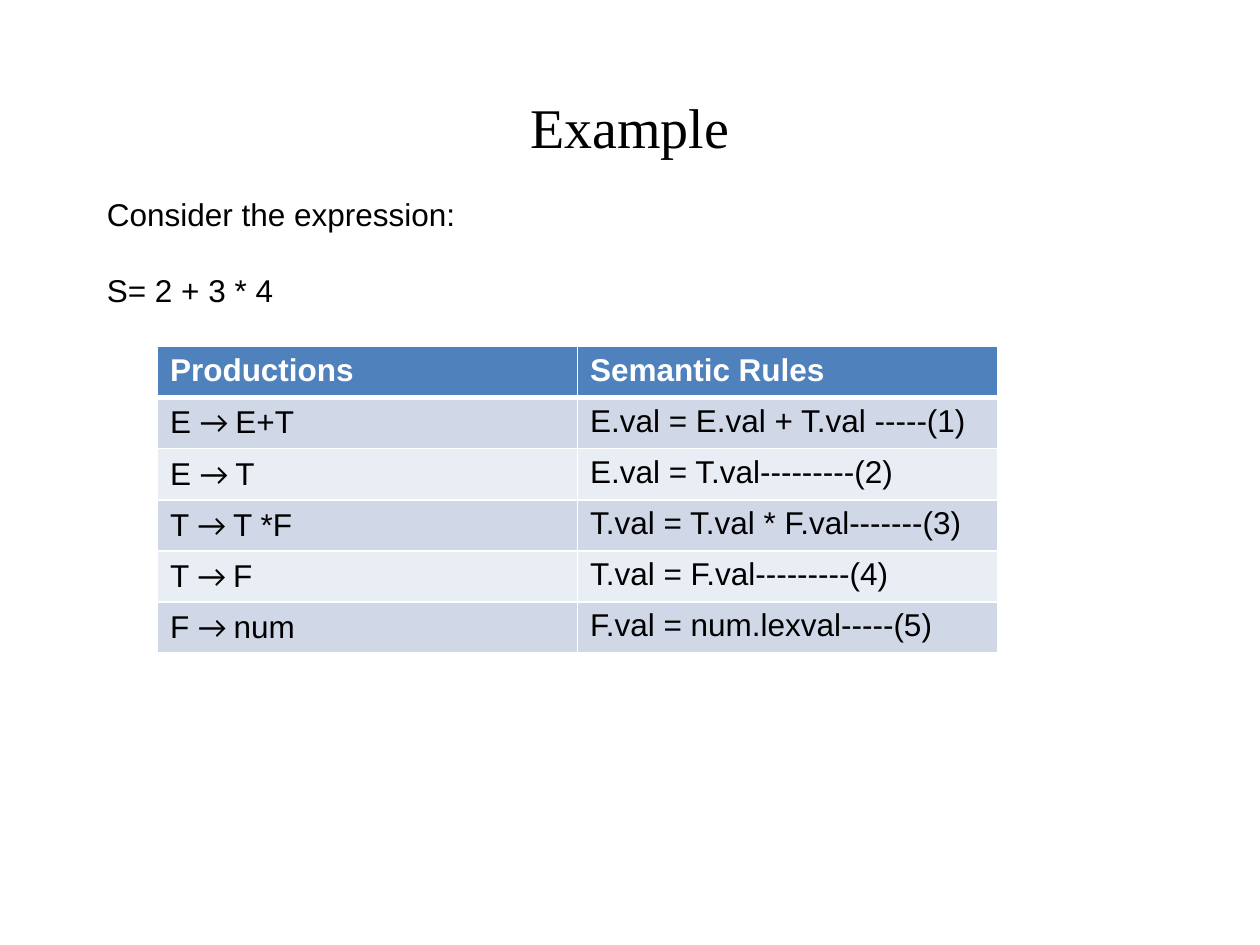
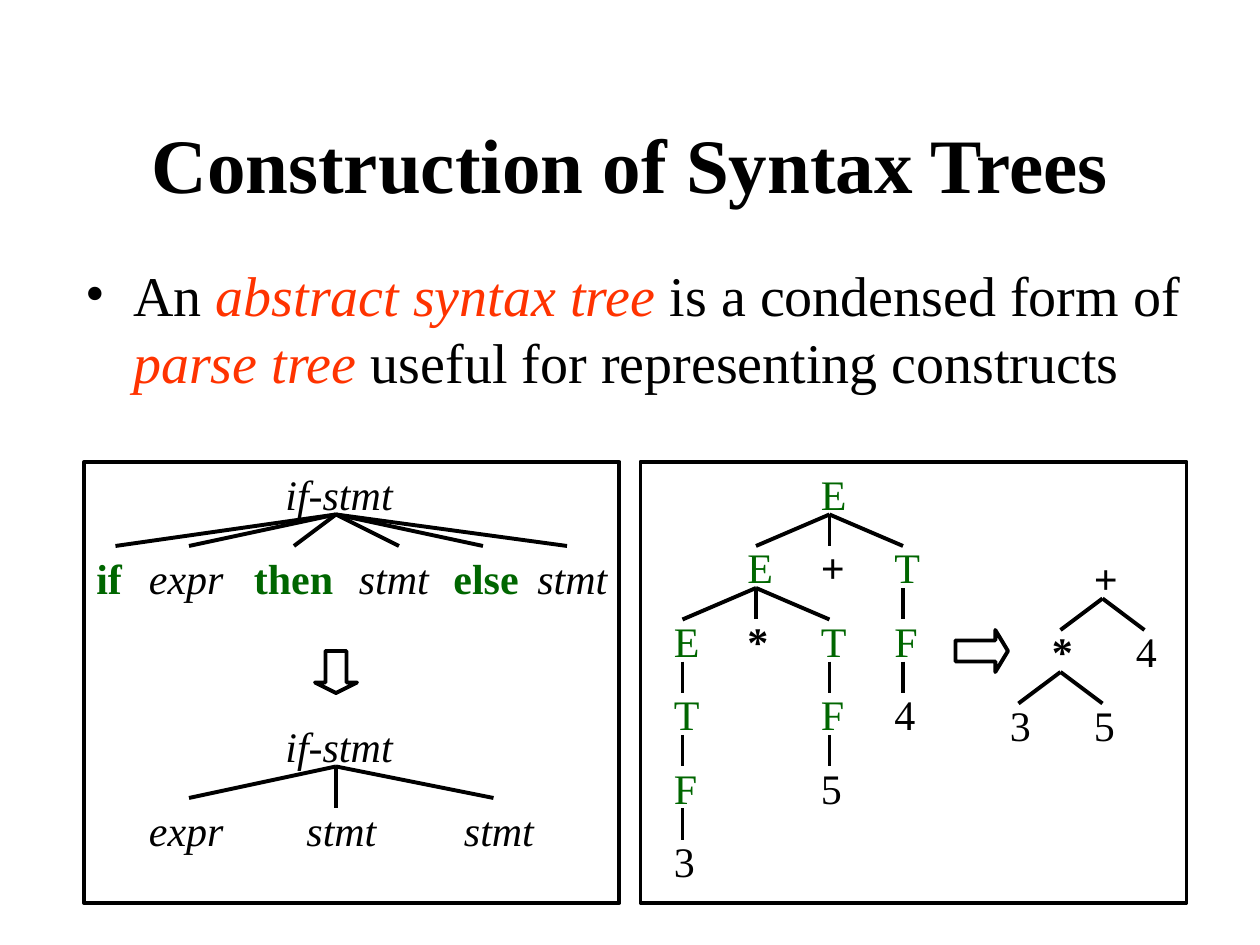
from dataclasses import dataclass

from lxml import etree
from pptx import Presentation
from pptx.dml.color import RGBColor
from pptx.enum.shapes import MSO_CONNECTOR, MSO_SHAPE
from pptx.enum.text import MSO_ANCHOR, MSO_AUTO_SIZE, PP_ALIGN
from pptx.oxml.ns import qn
from pptx.slide import Slide
from pptx.table import _Cell
from pptx.text.text import TextFrame, _Paragraph
from pptx.util import Emu, Pt

PX = 7620
BLACK = RGBColor(0x00, 0x00, 0x00)
WHITE = RGBColor(0xFF, 0xFF, 0xFF)
GREEN = RGBColor(0x00, 0x66, 0x00)
RED = RGBColor(0xFF, 0x33, 0x00)
BLUE = RGBColor(0x4F, 0x81, 0xBD)
BANDS = (RGBColor(0xD0, 0xD8, 0xE8), RGBColor(0xE9, 0xED, 0xF4))
SERIF, SANS, SYMBOL = "Times New Roman", "Arial", "Calibri"
CENTER, MIDDLE, TOP = PP_ALIGN.CENTER, MSO_ANCHOR.MIDDLE, MSO_ANCHOR.TOP
FIXED, GROW = MSO_AUTO_SIZE.NONE, MSO_AUTO_SIZE.SHAPE_TO_FIT_TEXT
LINE = MSO_CONNECTOR.STRAIGHT
RECT, DOWN, RIGHT = MSO_SHAPE.RECTANGLE, MSO_SHAPE.DOWN_ARROW, MSO_SHAPE.RIGHT_ARROW
STROKE = Pt(2.25)
TITLE_ONLY = 5


@dataclass(frozen=True)
class Style:
    font: str
    size: int
    color: RGBColor = BLACK
    bold: bool = False
    italic: bool = False


@dataclass(frozen=True)
class Box:
    x: int
    y: int
    w: int
    h: int


@dataclass(frozen=True)
class Node:
    text: str
    x: int
    y: int
    kids: tuple["Node", ...] = ()
    dx: int = 20
    dy: int = 10


@dataclass(frozen=True)
class Outline:
    kind: MSO_SHAPE
    box: Box
    bends: tuple[float, ...] = ()


BODY = Style(SANS, 18)
HEAD = Style(SANS, 18, WHITE, bold=True)
ARROW = Style(SYMBOL, 18)
PLAIN = Style(SERIF, 32)
TERM = Style(SERIF, 32, RED, italic=True)
RULE = Style(SERIF, 24, GREEN)
WORD = Style(SERIF, 24, GREEN, bold=True)
PART = Style(SERIF, 24, italic=True)
SIGN = Style(SERIF, 24, bold=True)
DIGIT = Style(SERIF, 24)

LOOKS = {
    "if-stmt": (128, PART), "expr": (97, PART), "stmt": (93, PART),
    "if": (50, WORD), "then": (102, WORD), "else": (88, WORD),
    "E": (50, RULE), "T": (50, RULE), "F": (48, RULE),
    "+": (48, SIGN), "*": (45, SIGN),
    "3": (45, DIGIT), "4": (45, DIGIT), "5": (45, DIGIT),
}

RULES = (
    ("E", "E+T", "E.val = E.val + T.val -----(1)"),
    ("E", "T", "E.val = T.val---------(2)"),
    ("T", "T *F", "T.val = T.val * F.val-------(3)"),
    ("T", "F", "T.val = F.val---------(4)"),
    ("F", "num", "F.val = num.lexval-----(5)"),
)

TREES = (
    Node("if-stmt", 260, 440, (
        Node("if", 80, 520, dx=30, dy=0),
        Node("expr", 130, 520, dx=50, dy=0),
        Node("then", 230, 520, dx=50, dy=0),
        Node("stmt", 330, 520, dx=50, dy=0),
        Node("else", 420, 520, dx=40, dy=0),
        Node("stmt", 500, 520, dx=40, dy=0),
    ), dx=60),
    Node("if-stmt", 260, 680, (
        Node("expr", 130, 760, dx=50, dy=0),
        Node("stmt", 280, 760, dx=40),
        Node("stmt", 430, 760, dx=40, dy=0),
    ), dx=60),
    Node("E", 770, 440, (
        Node("E", 700, 510, (
            Node("E", 630, 580, (
                Node("T", 630, 650, (
                    Node("F", 630, 720, (Node("3", 630, 790),)),
                )),
            )),
            Node("*", 700, 580),
            Node("T", 770, 580, (
                Node("F", 770, 650, (Node("5", 770, 720),)),
            )),
        )),
        Node("+", 770, 510),
        Node("T", 840, 510, (
            Node("F", 840, 580, (Node("4", 840, 650),)),
        )),
    )),
    Node("+", 1030, 520, (
        Node("*", 990, 590, (Node("3", 950, 660), Node("5", 1030, 660))),
        Node("4", 1070, 590),
    )),
)

OUTLINES = (
    Outline(DOWN, Box(300, 620, 40, 40), (0.5, 0.25)),
    Outline(RIGHT, Box(910, 600, 50, 40), (0.5, 0.3)),
    Outline(RECT, Box(80, 440, 510, 420)),
    Outline(RECT, Box(610, 440, 520, 420)),
)


def px(count: int) -> Emu:
    return Emu(count * PX)


def spot(box: Box) -> tuple[Emu, Emu, Emu, Emu]:
    return px(box.x), px(box.y), px(box.w), px(box.h)


def add_run(para: _Paragraph, text: str, style: Style) -> None:
    run = para.add_run()
    run.text = text
    font = run.font
    font.name, font.size = style.font, Pt(style.size)
    font.bold, font.italic = style.bold, style.italic
    font.color.rgb = style.color


def add_title(slide: Slide, text: str, box: Box, style: Style) -> None:
    title = slide.shapes.title
    title.left, title.top, title.width, title.height = spot(box)
    frame = title.text_frame
    frame.auto_size, frame.vertical_anchor = FIXED, MIDDLE
    para = frame.paragraphs[0]
    para.alignment = CENTER
    add_run(para, text, style)


def add_text(slide: Slide, box: Box, wrap: bool = True) -> TextFrame:
    frame = slide.shapes.add_textbox(*spot(box)).text_frame
    frame.word_wrap = wrap
    frame.auto_size = FIXED if wrap else GROW
    frame.vertical_anchor = TOP
    return frame


def add_bullet(para: _Paragraph, indent: int) -> None:
    props = para._p.get_or_add_pPr()
    props.set("marL", str(px(indent)))
    props.set("indent", str(-px(indent)))
    etree.SubElement(props, qn("a:buFont")).set("typeface", SERIF)
    etree.SubElement(props, qn("a:buChar")).set("char", "•")


def add_edge(cell: _Cell, side: str, width: int) -> None:
    edge = etree.SubElement(cell._tc.get_or_add_tcPr(), qn(f"a:ln{side}"))
    edge.set("w", str(Pt(width)))
    fill = etree.SubElement(edge, qn("a:solidFill"))
    etree.SubElement(fill, qn("a:srgbClr")).set("val", str(WHITE))


def fill_cell(cell: _Cell, row: int, runs: tuple[tuple[str, Style], ...]) -> None:
    for side in "LRTB":
        thick = (row == 0 and side == "B") or (row == 1 and side == "T")
        add_edge(cell, side, 3 if thick else 1)
    cell.fill.solid()
    cell.fill.fore_color.rgb = BANDS[(row - 1) % 2] if row else BLUE
    for text, style in runs:
        add_run(cell.text_frame.paragraphs[0], text, style)


def add_rules(slide: Slide, box: Box) -> None:
    rows = [((("Productions", HEAD),), (("Semantic Rules", HEAD),))]
    for left, right, rule in RULES:
        made = ((f"{left} ", BODY), ("→ ", ARROW), (right, BODY))
        rows.append((made, ((rule, BODY),)))
    table = slide.shapes.add_table(len(rows), 2, *spot(box)).table
    for row, cells in enumerate(rows):
        for col, runs in enumerate(cells):
            fill_cell(table.cell(row, col), row, runs)


def add_line(slide: Slide, x1: int, y1: int, x2: int, y2: int) -> None:
    line = slide.shapes.add_connector(LINE, px(x1), px(y1), px(x2), px(y2))
    line.line.color.rgb = BLACK
    line.line.width = STROKE
    etree.SubElement(line._element.spPr, qn("a:effectLst"))


def add_tree(slide: Slide, node: Node) -> None:
    width, style = LOOKS[node.text]
    frame = add_text(slide, Box(node.x, node.y, width, 60), wrap=False)
    add_run(frame.paragraphs[0], node.text, style)
    for kid in node.kids:
        add_tree(slide, kid)
        add_line(slide, node.x + node.dx, node.y + 50, kid.x + kid.dx, kid.y + kid.dy)


def add_outline(slide: Slide, item: Outline) -> None:
    shape = slide.shapes.add_shape(item.kind, *spot(item.box))
    for index, bend in enumerate(item.bends):
        shape.adjustments[index] = bend
    shape.shadow.inherit = False
    shape.fill.background()
    shape.line.color.rgb = BLACK
    shape.line.width = STROKE


def draw_rules(slide: Slide) -> None:
    add_title(slide, "Example", Box(90, 80, 1020, 80), PLAIN)
    frame = add_text(slide, Box(90, 180, 970, 240))
    add_run(frame.paragraphs[0], "Consider the expression:", BODY)
    para = frame.add_paragraph()
    para.space_before = Pt(22)
    add_run(para, "S= 2 + 3 * 4", BODY)
    add_rules(slide, Box(150, 330, 800, 292))


def draw_trees(slide: Slide) -> None:
    head = Style(SERIF, 44, bold=True)
    add_title(slide, "Construction of Syntax Trees", Box(90, 80, 1020, 150), head)
    para = add_text(slide, Box(70, 242, 1079, 161)).paragraphs[0]
    add_bullet(para, 45)
    for text, style in (
        ("An ", PLAIN),
        ("abstract syntax tree", TERM),
        (" is a condensed form of ", PLAIN),
        ("parse tree", TERM),
        (" useful for representing constructs", PLAIN),
    ):
        add_run(para, text, style)
    for tree in TREES:
        add_tree(slide, tree)
    for item in OUTLINES:
        add_outline(slide, item)


def main() -> None:
    deck = Presentation()
    deck.slide_width, deck.slide_height = px(1200), px(900)
    layout = deck.slide_layouts[TITLE_ONLY]
    for draw in (draw_rules, draw_trees):
        draw(deck.slides.add_slide(layout))
    deck.save("out.pptx")


if __name__ == "__main__":
    main()
